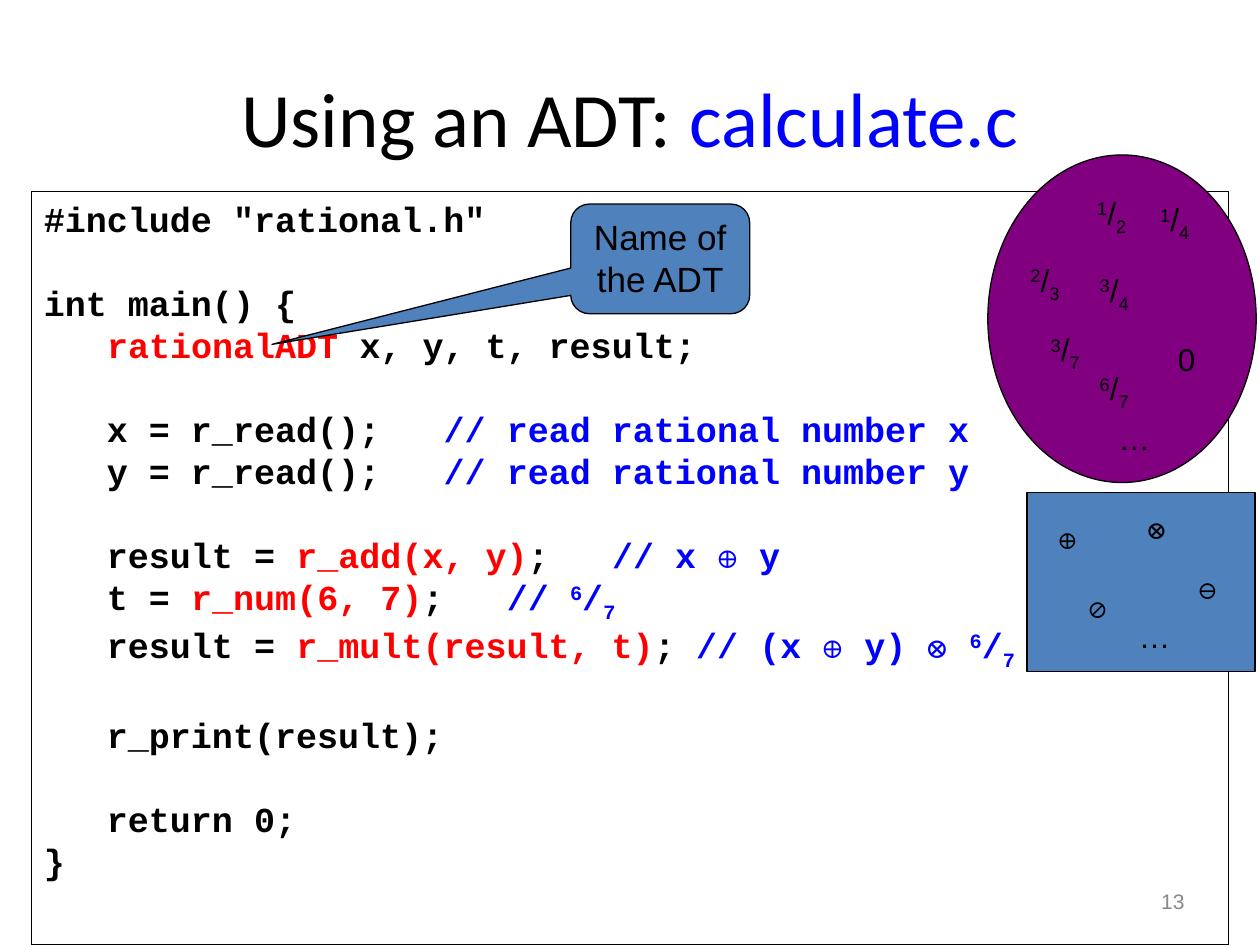
from lxml import etree
from pptx import Presentation
from pptx import util as u
from pptx.dml.color import RGBColor
from pptx.enum import shapes, text
from pptx.oxml.ns import qn

BLACK, BLUE, RED, GREY = "000000", "0000FF", "FF0000", "898989"
PURPLE, STEEL = "800080", "4F81BD"
SUPERSCRIPT, SUBSCRIPT = 30000, -25000


def rgb(value):
    return RGBColor.from_string(value)


def fraction(numerator, denominator, color=BLACK):
    """Runs of a fraction: raised numerator, slash, lowered denominator."""
    return [(numerator, color, SUPERSCRIPT), ("/", color), (denominator, color, SUBSCRIPT)]


CODE = [
    [('#include "rational.h"', BLACK)],
    [],
    [("int main() {", BLACK)],
    [("   ", BLACK), ("rationalADT", RED), (" x, y, t, result;", BLACK)],
    [],
    [("   x = r_read();   ", BLACK), ("// read rational number x", BLUE)],
    [("   y = r_read();   ", BLACK), ("// read rational number y", BLUE)],
    [],
    [("   result = ", BLACK), ("r_add(x, y)", RED), (";   ", BLACK), ("// x ⊕ y", BLUE)],
    [("   t = ", BLACK), ("r_num(6, 7)", RED), (";   ", BLACK), ("// ", BLUE),
     *fraction("6", "7", BLUE)],
    [("   result = ", BLACK), ("r_mult(result, t)", RED), ("; ", BLACK),
     ("// (x ⊕ y) ⊗ ", BLUE), *fraction("6", "7", BLUE)],
    [],
    [("   r_print(result);", BLACK)],
    [],
    [("   return 0;", BLACK)],
    [("}", BLACK)],
]

FRACTIONS = [
    (8.61, 1.49, "1", "2"), (8.63, 2.1, "3", "4"), (8.63, 2.88, "6", "7"),
    (8.24, 2.57, "3", "7"), (8.08, 2.02, "2", "3"), (9.11, 1.54, "1", "4"),
]
OPERATORS = [(8.3, 4.06, "⊕"), (9.41, 4.46, "⊖"), (9.01, 3.98, "⊗"), (8.54, 4.61, "⊘")]


class SlideBuilder:
    body_font = "Arial"
    code_font = "Courier New"
    title_font = "Calibri"

    def __init__(self, presentation):
        self.slide = presentation.slides.add_slide(presentation.slide_layouts[5])

    def add_lines(self, frame, lines, size, font, bold=False, align=text.PP_ALIGN.LEFT):
        """Fill a text frame; each line is a list of (text, color[, baseline]) runs."""
        for index, line in enumerate(lines):
            paragraph = frame.add_paragraph() if index else frame.paragraphs[0]
            paragraph.alignment = align
            for content, color, *baseline in line:
                run = paragraph.add_run()
                run.text = content
                run.font.size = u.Pt(size)
                run.font.name = font
                run.font.bold = bold
                run.font.color.rgb = rgb(color)
                if baseline:
                    run.font._element.set("baseline", str(baseline[0]))
            if not line:
                end = etree.SubElement(paragraph._p, qn("a:endParaRPr"), sz=str(size * 100))
                etree.SubElement(end, qn("a:latin"), typeface=font)

    def title(self, box, runs):
        title = self.slide.shapes.title
        title.left, title.top, title.width, title.height = map(u.Inches, box)
        title.text_frame.vertical_anchor = text.MSO_ANCHOR.MIDDLE
        self.add_lines(title.text_frame, [runs], 44, self.title_font,
                       align=text.PP_ALIGN.CENTER)

    def group(self):
        return self.slide.shapes.add_group_shape()

    def shape(self, kind, box, fill=None, parent=None):
        shape = (parent or self.slide).shapes.add_shape(kind, *map(u.Inches, box))
        shape.shadow.inherit = False
        if fill:
            shape.fill.solid()
            shape.fill.fore_color.rgb = rgb(fill)
        else:
            shape.fill.background()
        shape.line.color.rgb = rgb(BLACK)
        shape.line.width = u.Pt(0.75)
        shape.text_frame.vertical_anchor = text.MSO_ANCHOR.TOP
        return shape

    def label(self, box, runs, font=body_font, parent=None):
        frame = (parent or self.slide).shapes.add_textbox(*map(u.Inches, box)).text_frame
        frame.word_wrap = False
        frame.auto_size = text.MSO_AUTO_SIZE.SHAPE_TO_FIT_TEXT
        self.add_lines(frame, [runs], 18, font)

    def slide_number(self, box, number):
        frame = self.slide.shapes.add_textbox(*map(u.Inches, box)).text_frame
        frame.word_wrap = True
        frame.vertical_anchor = text.MSO_ANCHOR.MIDDLE
        self.add_lines(frame, [[(number, GREY)]], 12, self.body_font,
                       align=text.PP_ALIGN.RIGHT)

    def code(self, box, lines):
        panel = self.shape(shapes.MSO_SHAPE.RECTANGLE, box)
        self.add_lines(panel.text_frame, lines, 20, self.code_font, bold=True)

    def callout(self, box, content, adjustments):
        callout = self.shape(shapes.MSO_SHAPE.ROUNDED_RECTANGULAR_CALLOUT, box, STEEL)
        for index, value in enumerate(adjustments):
            callout.adjustments[index] = value
        self.add_lines(callout.text_frame, [[(content, BLACK)]], 20, self.body_font,
                       align=text.PP_ALIGN.CENTER)


def main():
    presentation = Presentation()
    presentation.slide_width = u.Inches(10)
    presentation.slide_height = u.Inches(7.5)
    builder = SlideBuilder(presentation)

    builder.title((0.5, 0.3, 9, 1.25), [("Using an ADT: ", BLACK), ("calculate.c", BLUE)])
    builder.slide_number((7.17, 6.95, 2.33, 0.4), "13")
    builder.code((0.25, 1.52, 9.5, 5.98), CODE)

    values = builder.group()
    builder.shape(shapes.MSO_SHAPE.OVAL, (7.84, 1.23, 2.13, 2.6), PURPLE, values)
    for left, top, numerator, denominator in FRACTIONS:
        builder.label((left, top, 0.43, 0.44), fraction(numerator, denominator),
                      parent=values)
    builder.label((9.25, 2.65, 0.34, 0.4), [("0", BLACK)], parent=values)
    builder.label((8.78, 3.28, 0.45, 0.4), [("…", BLACK)], parent=values)

    operations = builder.group()
    builder.shape(shapes.MSO_SHAPE.RECTANGLE, (8.15, 3.91, 1.81, 1.42), STEEL, operations)
    for left, top, symbol in OPERATORS:
        builder.label((left, top, 0.41, 0.4), [(symbol, BLACK)], builder.code_font,
                      operations)
    builder.label((8.94, 4.85, 0.45, 0.4), [("…", BLACK)], parent=operations)

    builder.callout((4.53, 1.62, 1.42, 0.87), "Name of the ADT", (-2.17, 0.78, 0.17))
    presentation.save("out.pptx")


if __name__ == "__main__":
    main()
